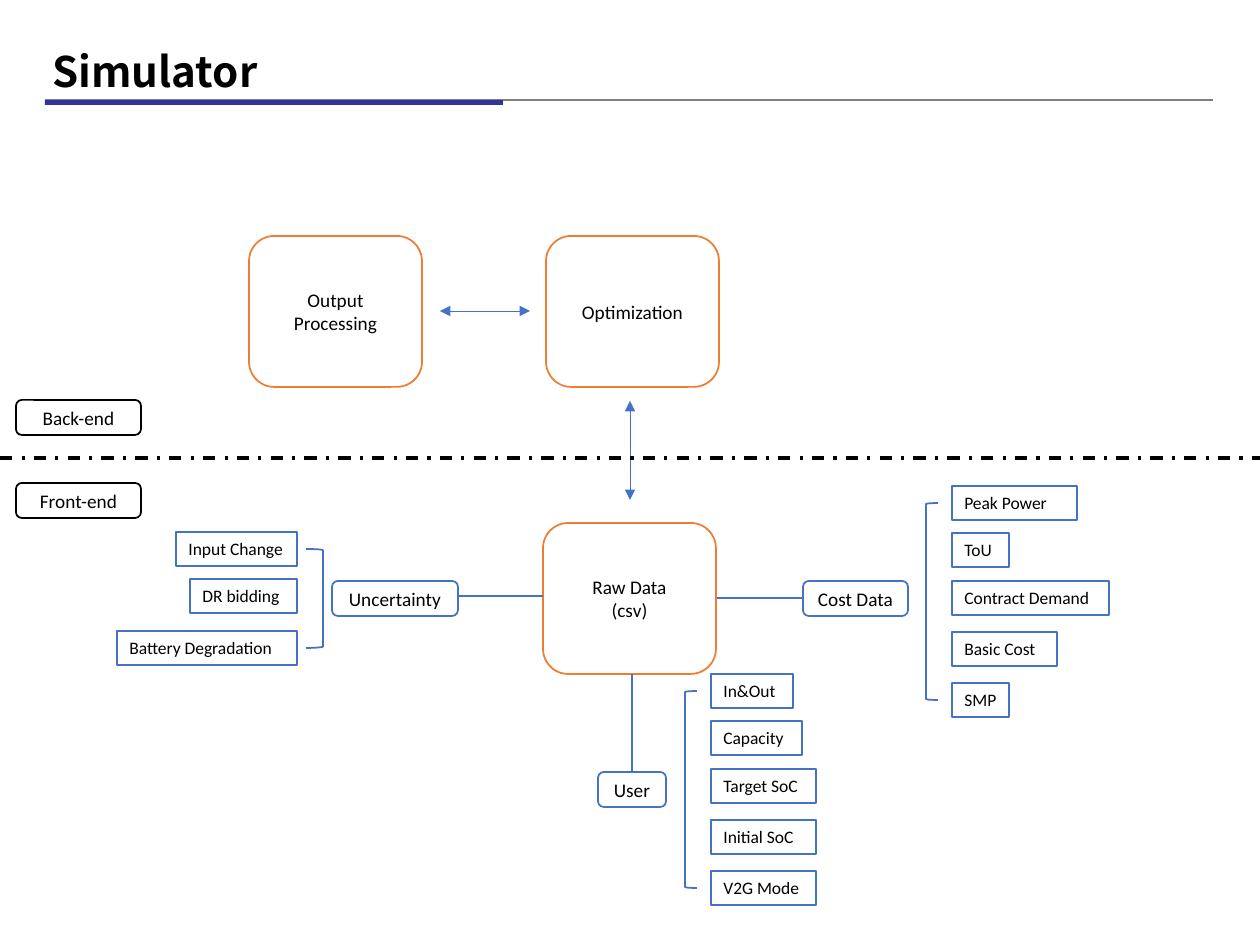
import pptx
import pptx.util
import pptx.dml.color
import pptx.enum.dml
import pptx.enum.shapes
import pptx.enum.text
import pptx.oxml
from pptx.oxml.ns import qn

EMU_PER_PIXEL = 914400 / 126
BLACK, BLUE, ORANGE, GRAY, NAVY = "000000", "4472C4", "ED7D31", "808080", "333399"
SHAPE = pptx.enum.shapes.MSO_SHAPE
ALIGN = pptx.enum.text.PP_ALIGN
ANCHOR = pptx.enum.text.MSO_ANCHOR

ITEM_HEIGHT = 34
FIVE_OFFSETS = (0, 47, 95, 146, 197)
THREE_OFFSETS = (0, 47, 99)


def px(pixels):
    return pptx.util.Emu(round(pixels * EMU_PER_PIXEL))


def rgb(color):
    return pptx.dml.color.RGBColor.from_string(color)


def write(shape, text, size=11, font="Calibri", bold=False, align=ALIGN.CENTER,
          anchor=ANCHOR.MIDDLE, spacing=None, right_inset=None):
    frame = shape.text_frame
    frame.word_wrap = True
    frame.vertical_anchor = anchor
    if right_inset is not None:
        frame.margin_right = px(right_inset)
    frame.text = text
    for paragraph in frame.paragraphs:
        paragraph.alignment = align
        paragraph.line_spacing = spacing
        for run in paragraph.runs:
            run.font.size = pptx.util.Pt(size)
            run.font.name = font
            run.font.bold = bold
            run.font.color.rgb = rgb(BLACK)


def add_box(slide, kind, left, top, width, height, line=None, fill=None):
    box = slide.shapes.add_shape(kind, px(left), px(top), px(width), px(height))
    box.shadow.inherit = False
    if fill:
        box.fill.solid()
        box.fill.fore_color.rgb = rgb(fill)
    else:
        box.fill.background()
    if line:
        box.line.color.rgb = rgb(line)
        box.line.width = pptx.util.Pt(1)
    else:
        box.line.fill.background()
    return box


def add_node(slide, text, left, top, width, height, color):
    node = add_box(slide, SHAPE.ROUNDED_RECTANGLE, left, top, width, height, color)
    write(node, text)


def add_line(slide, x1, y1, x2, y2, color=BLUE, width=1, dash=None, arrows=False):
    line = slide.shapes.add_connector(
        pptx.enum.shapes.MSO_CONNECTOR.STRAIGHT, px(x1), px(y1), px(x2), px(y2))
    line.line.color.rgb = rgb(color)
    line.line.width = pptx.util.Pt(width)
    if dash:
        line.line.dash_style = dash
    if arrows:
        outline = line.line._get_or_add_ln()
        for end in ("a:headEnd", "a:tailEnd"):
            arrowhead = pptx.oxml.xmlchemy.OxmlElement(end)
            arrowhead.set("type", "triangle")
            outline.append(arrowhead)
    properties = line._element.find(qn("p:spPr"))
    properties.append(pptx.oxml.xmlchemy.OxmlElement("a:effectLst"))


def add_items(slide, items, edge, top, offsets, bracket, bracket_left,
              bracket_width, right_aligned=False):
    """Stack boxes of (text, width) along an edge, joined by a bracket."""
    for (text, width), offset in zip(items, offsets):
        left = edge - width if right_aligned else edge
        item = add_box(slide, SHAPE.RECTANGLE, left, top + offset, width,
                       ITEM_HEIGHT, BLUE)
        write(item, text, size=10, align=ALIGN.LEFT, anchor=ANCHOR.TOP, right_inset=0)
    add_box(slide, bracket, bracket_left, top + ITEM_HEIGHT / 2, bracket_width,
            offsets[-1], BLUE)


def add_header(slide):
    add_line(slide, 45, 100, 1213, 100, GRAY)
    add_box(slide, SHAPE.RECTANGLE, 45, 100, 458, 5, fill=NAVY)
    title = slide.shapes.add_textbox(px(40), px(45), px(1134), px(58))
    write(title, "Simulator", size=24, font="Noto Sans CJK KR", bold=True,
          align=ALIGN.LEFT, spacing=0.9)


def main():
    deck = pptx.Presentation()
    deck.slide_width, deck.slide_height = px(1260), px(945)
    slide = deck.slides.add_slide(deck.slide_layouts[6])
    add_header(slide)

    # Main stages
    for text, left, top in (("Output Processing", 249, 236),
                            ("Optimization", 546, 236),
                            ("Raw Data\n(csv)", 543, 523)):
        add_node(slide, text, left, top, 173, 151, ORANGE)
    add_line(slide, 530, 311, 440, 311, width=0.5, arrows=True)
    add_line(slide, 630, 401, 630, 500, width=0.5, arrows=True)

    # Back-end and front-end divide
    add_line(slide, 0, 458, 1260, 458, BLACK, 1.75,
             pptx.enum.dml.MSO_LINE.DASH_DOT)
    for text, top in (("Back-end", 400), ("Front-end", 483)):
        add_node(slide, text, 16, top, 125, 35, BLACK)

    # Data categories and their links to the raw data
    for text, left, top, width in (("Uncertainty", 332, 581, 126),
                                   ("Cost Data", 803, 581, 105),
                                   ("User", 598, 772, 68)):
        add_node(slide, text, left, top, width, 35, BLUE)
    add_line(slide, 543, 596, 458, 596)
    add_line(slide, 717, 598, 803, 598)
    add_line(slide, 632, 674, 632, 772)

    # Items in each category
    uncertainty = (("Input Change", 121), ("DR bidding", 107),
                   ("Battery Degradation", 180))
    cost = (("Peak Power", 125), ("ToU", 57), ("Contract Demand", 157),
            ("Basic Cost", 105), ("SMP", 57))
    user = (("In&Out", 82), ("Capacity", 91), ("Target SoC", 105),
            ("Initial SoC", 105), ("V2G Mode", 105))
    add_items(slide, uncertainty, 297, 532, THREE_OFFSETS, SHAPE.RIGHT_BRACKET,
              306, 17, right_aligned=True)
    add_items(slide, cost, 952, 486, FIVE_OFFSETS, SHAPE.LEFT_BRACKET, 926, 12)
    add_items(slide, user, 711, 674, FIVE_OFFSETS, SHAPE.LEFT_BRACKET, 685, 12)

    deck.save("out.pptx")


main()
